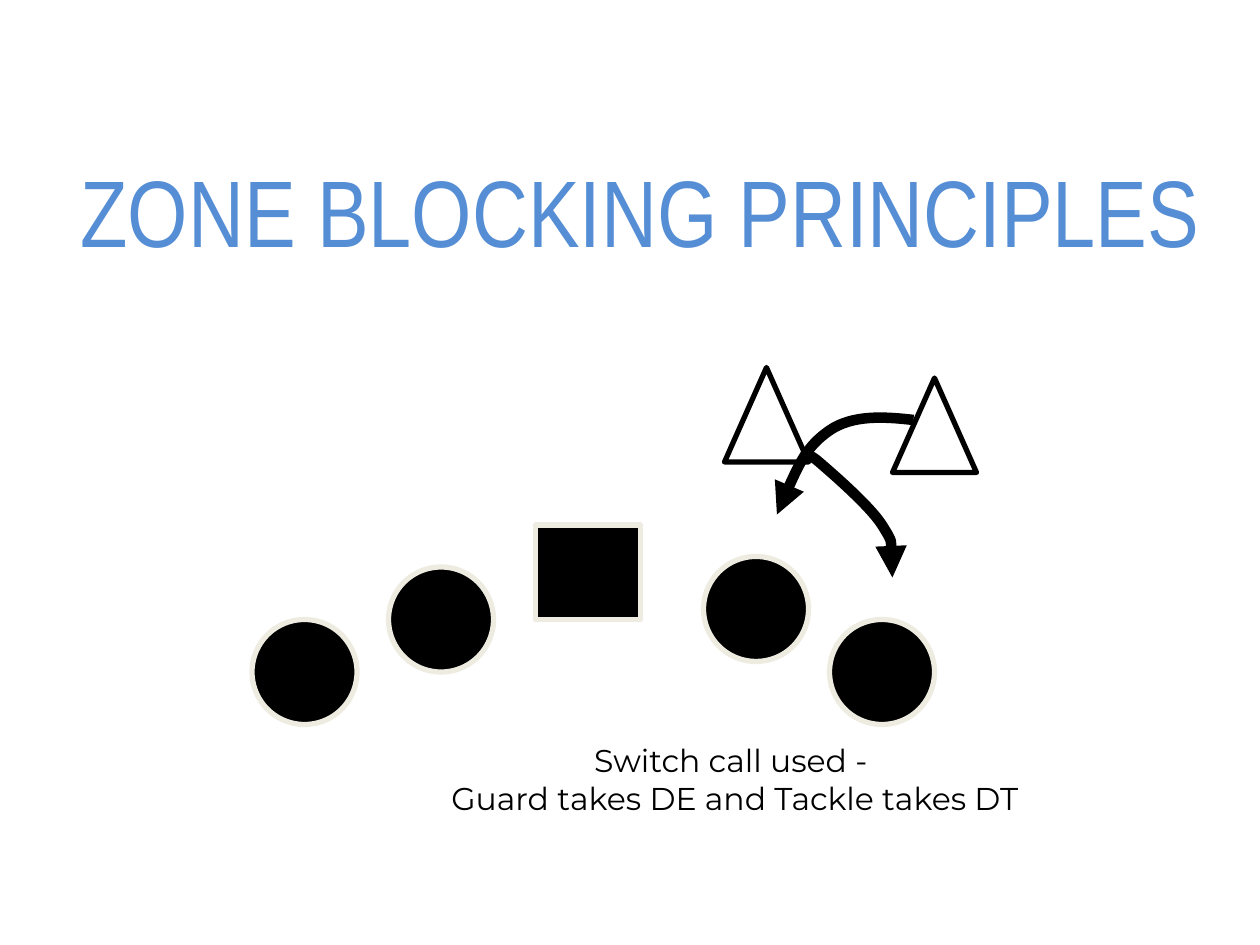
from lxml import etree
from pptx import Presentation
from pptx.dml.color import RGBColor
from pptx.enum import shapes, text
from pptx.oxml import ns
from pptx.util import Pt

THEME = {
    "black": RGBColor.from_string("000000"),
    "white": RGBColor.from_string("FFFFFF"),
    "cream": RGBColor.from_string("EEECE1"),
    "blue": RGBColor.from_string("558ED5"),
    "title_font": "Arial Narrow", "title_size": Pt(54),
    "note_font": "Montserrat", "note_size": Pt(18),
    "outline": Pt(3), "path": Pt(6),
}

prs = Presentation()
prs.slide_width, prs.slide_height = Pt(720), Pt(540)
s = prs.slides.add_slide(prs.slide_layouts[5])


def add_player(kind, x, y, w, h, fill, line):
    sp = s.shapes.add_shape(kind, Pt(x), Pt(y), Pt(w), Pt(h))
    sp.shadow.inherit = False
    sp.fill.solid()
    sp.fill.fore_color.rgb = THEME[fill]
    sp.line.color.rgb = THEME[line]
    sp.line.width = THEME["outline"]


def format_text(tf, font, size, color):
    for p in tf.paragraphs:
        p.alignment = text.PP_ALIGN.CENTER
        for r in p.runs:
            r.font.name, r.font.size = THEME[font], THEME[size]
            r.font.color.rgb = THEME[color]


# Title
title = s.shapes.title
title.left, title.top, title.width, title.height = Pt(30), Pt(84), Pt(672), Pt(72.7)
tf = title.text_frame
tf.text = "ZONE BLOCKING PRINCIPLES"
tf.word_wrap = True
tf.auto_size = text.MSO_AUTO_SIZE.SHAPE_TO_FIT_TEXT
tf.vertical_anchor = text.MSO_ANCHOR.TOP
format_text(tf, "title_font", "title_size", "blue")

# Offensive line: centre, then guards and tackles
add_player(shapes.MSO_SHAPE.RECTANGLE, 306, 300, 60, 54, "black", "cream")
for x, y in [(402, 318), (222, 324), (474, 354), (144, 354)]:
    add_player(shapes.MSO_SHAPE.OVAL, x, y, 60, 60, "black", "cream")

# Defenders
for x, y in [(414, 210), (510, 216)]:
    add_player(shapes.MSO_SHAPE.FLOWCHART_EXTRACT, x, y, 48, 54, "white", "black")

# Defenders' crossing paths: start, then control, control, end for each curve
rushes = [
    [(522, 240), (505, 238), (487, 237), (474, 246),
     (461, 255), (452, 274), (444, 294)],
    [(462, 264), (461.5, 261), (461, 258), (468, 264),
     (475, 270), (497, 289), (504, 300), (511, 311), (510.5, 320), (510, 330)],
]
for points in rushes:
    start, *rest = [(Pt(x), Pt(y)) for x, y in points]
    builder = s.shapes.build_freeform(*start)
    builder.add_line_segments(rest, close=False)
    sp = builder.convert_to_shape()
    sp.shadow.inherit = False
    sp.fill.background()
    sp.line.color.rgb = THEME["black"]
    sp.line.width = THEME["path"]
    etree.SubElement(sp.line._get_or_add_ln(), ns.qn("a:tailEnd"), type="triangle")
    # Turn every three line segments into one Bezier curve
    path = sp._element.find(".//" + ns.qn("a:path"))
    segments = path.findall(ns.qn("a:lnTo"))
    for i in range(0, len(segments), 3):
        curve = etree.SubElement(path, ns.qn("a:cubicBezTo"))
        for segment in segments[i:i + 3]:
            curve.append(segment[0])
            path.remove(segment)

# Call description
note = s.shapes.add_textbox(Pt(246), Pt(420), Pt(348), Pt(66))
tf = note.text_frame
tf.word_wrap = False
tf.text = "Switch call used - \nGuard takes DE and Tackle takes DT"
format_text(tf, "note_font", "note_size", "black")

prs.save("out.pptx")
